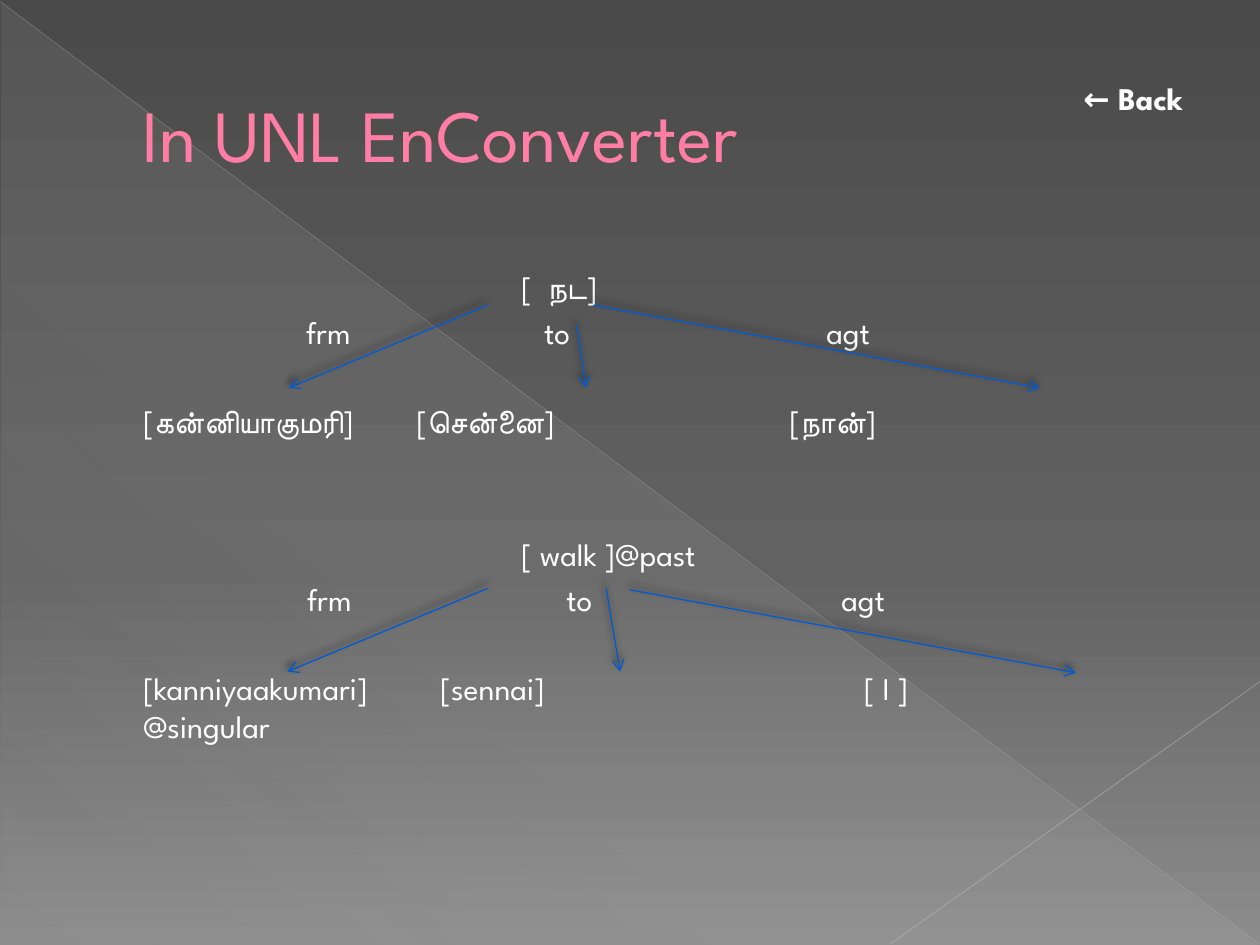
from dataclasses import dataclass

from lxml.etree import SubElement
from pptx import Presentation
from pptx.dml.color import RGBColor
from pptx.enum.shapes import MSO_CONNECTOR as Connector, MSO_SHAPE as Preset
from pptx.enum.text import MSO_ANCHOR as Anchor
from pptx.oxml.ns import qn
from pptx.util import Cm, Pt


@dataclass(frozen=True)
class Theme:
    font: str = "League Spartan"
    title: str = "FF7DA7"
    text: str = "FFFFFF"
    arrow: str = "005BD3"
    shadow: str = "000000"
    falling: str = "BFBFBF"
    rising: str = "C6C6C6"
    backdrop: tuple = ((0, "4A4A4A", 100), (60, "626262", 100), (100, "8C8C8C", 100))
    veil: tuple = ((0, "D2D2D2", 10), (70, "D2D2D2", 8), (100, "D2D2D2", 1))
    title_size: float = 42
    text_size: float = 18
    row_gap: float = 4.1
    row_pitch: float = 25.2


@dataclass(frozen=True)
class Line:
    start: tuple
    end: tuple
    color: str
    width: float
    opacity: int = 100
    arrow: bool = False


@dataclass(frozen=True)
class Row:
    lines: tuple
    tabs: tuple = ()
    skipped: int = 0


THEME = Theme()

DECORATIONS = (
    Line((0, 0.03), (25.37, 19.02), THEME.falling, 0.39, 35),
    Line((25.4, 13.74), (17.96, 19.02), THEME.rising, 0.47, 45),
)

RELATIONS = (
    ((9.83, 6.15), (5.82, 7.82)),
    ((11.63, 6.55), (11.81, 7.82)),
    ((11.96, 6.15), (20.96, 7.82)),
    ((9.83, 11.86), (5.79, 13.54)),
    ((12.22, 11.86), (12.5, 13.54)),
    ((12.7, 11.89), (21.69, 13.56)),
)

ROWS = (
    Row(("\t[  நட]",), (7.62,)),
    Row(("\tfrm\tto\tagt",), (3.28, 8.08, 13.77)),
    Row(("[கன்னியாகுமரி]\t[சென்னை]\t[நான்]",), (5.51, 13.03), 1),
    Row(("\t[ walk ]@past",), (7.62,), 2),
    Row(("\tfrm\tto\tagt",), (3.3, 8.53, 14.07)),
    Row(("[kanniyaakumari]\t[sennai]\t[ I ]", "@singular"), (5.99, 14.53), 1),
)


def add_color(parent, color: str, opacity: int) -> None:
    element = SubElement(parent, qn("a:srgbClr"), val=color)
    if opacity < 100:
        SubElement(element, qn("a:alpha"), val=str(opacity * 1000))


def apply_gradient(properties, stops: tuple, angle: int) -> None:
    solid = properties.find(qn("a:solidFill"))
    gradient = SubElement(properties, qn("a:gradFill"), rotWithShape="1")
    stop_list = SubElement(gradient, qn("a:gsLst"))
    for position, color, opacity in stops:
        stop = SubElement(stop_list, qn("a:gs"), pos=str(position * 1000))
        add_color(stop, color, opacity)
    SubElement(gradient, qn("a:lin"), ang=str(angle * 60000), scaled="0")
    properties.replace(solid, gradient)


def add_line(slide, line: Line) -> None:
    points = [Cm(value) for value in (*line.start, *line.end)]
    connector = slide.shapes.add_connector(Connector.STRAIGHT, *points)
    connector.line.width = Pt(line.width)
    connector.line.color.rgb = RGBColor.from_string(line.color)
    properties = connector.element.spPr
    outline = properties.find(qn("a:ln"))
    if line.opacity < 100:
        color = outline.find(".//" + qn("a:srgbClr"))
        SubElement(color, qn("a:alpha"), val=str(line.opacity * 1000))
    effects = SubElement(properties, qn("a:effectLst"))
    if line.arrow:
        SubElement(outline, qn("a:tailEnd"), type="arrow")
        shadow = SubElement(effects, qn("a:outerShdw"), blurRad=str(Pt(4)),
                            dist=str(Pt(3)), dir=str(245 * 60000), rotWithShape="0")
        add_color(shadow, THEME.shadow, 60)


def add_text_frame(slide, box: tuple, anchor=Anchor.TOP, wrap: bool = True):
    shape = slide.shapes.add_textbox(*(Cm(value) for value in box))
    frame = shape.text_frame
    frame.word_wrap = wrap
    frame.vertical_anchor = anchor
    return frame


def add_run(paragraph, text: str, size: float, color: str, bold: bool = False) -> None:
    run = paragraph.add_run()
    run.text = text
    run.font.name = THEME.font
    run.font.size = Pt(size)
    run.font.bold = bold
    run.font.color.rgb = RGBColor.from_string(color)


def add_row(paragraph, row: Row) -> None:
    paragraph.space_before = Pt(THEME.row_gap + row.skipped * THEME.row_pitch)
    properties = paragraph._p.get_or_add_pPr()
    tab_list = SubElement(properties, qn("a:tabLst"))
    for position in row.tabs:
        SubElement(tab_list, qn("a:tab"), pos=str(Cm(position)), algn="l")
    for index, text in enumerate(row.lines):
        if index:
            paragraph.add_line_break()
        add_run(paragraph, text, THEME.text_size, THEME.text)


def add_backdrop(slide) -> None:
    slide.background.fill.solid()
    apply_gradient(slide.element.find(".//" + qn("p:bgPr")), THEME.backdrop, 90)
    box = (Cm(value) for value in (0.03, 0.05, 25.35, 19))
    triangle = slide.shapes.add_shape(Preset.RIGHT_TRIANGLE, *box)
    triangle.shadow.inherit = False
    triangle.line.fill.background()
    triangle.fill.solid()
    apply_gradient(triangle.element.spPr, THEME.veil, 133)
    for decoration in DECORATIONS:
        add_line(slide, decoration)


def main() -> None:
    presentation = Presentation()
    presentation.slide_width = Cm(25.4)
    presentation.slide_height = Cm(19.05)
    slide = presentation.slides.add_slide(presentation.slide_layouts[6])
    add_backdrop(slide)

    title = add_text_frame(slide, (1.27, 0.74, 22.86, 3.89), Anchor.MIDDLE)
    title.margin_left = Cm(1.6)
    add_run(title.paragraphs[0], "In UNL EnConverter", THEME.title_size, THEME.title)

    body = add_text_frame(slide, (2.46, 5.28, 22.86, 12.7))
    body.margin_left = Cm(0.43)
    for index, row in enumerate(ROWS):
        add_row(body.add_paragraph() if index else body.paragraphs[0], row)

    for start, end in RELATIONS:
        add_line(slide, Line(start, end, THEME.arrow, 0.75, arrow=True))

    back = add_text_frame(slide, (21.59, 1.47, 2.9, 1.02), wrap=False)
    add_run(back.paragraphs[0], "← Back", THEME.text_size, THEME.text, bold=True)

    presentation.save("out.pptx")


main()
